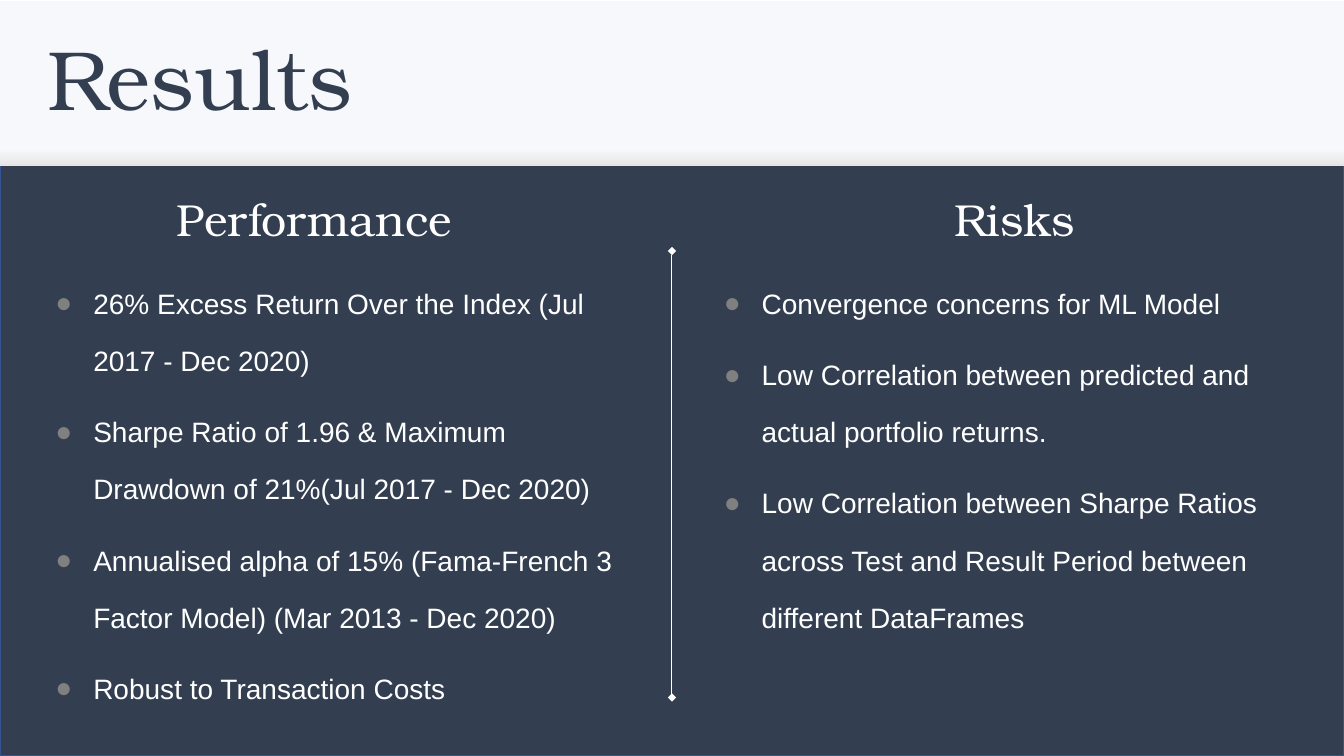
from lxml import etree
from pptx import Presentation
from pptx import util as u
from pptx.dml import color
from pptx.enum import shapes, text
from pptx.oxml import ns

NAVY = color.RGBColor(0x33, 0x3F, 0x50)
BLUE = color.RGBColor(0x32, 0x54, 0x91)
PALE = color.RGBColor(0xF6, 0xF8, 0xFC)
SILVER = color.RGBColor(0xE7, 0xE6, 0xE6)
GRAY = color.RGBColor(0x80, 0x80, 0x80)
WHITE = color.RGBColor(0xFF, 0xFF, 0xFF)
SERIF = "TeX Gyre Bonum"
SANS = "Arial"
LEFT = text.PP_ALIGN.LEFT
CENTER = text.PP_ALIGN.CENTER


def fill_placeholder(shape, box, lines, font_name, size, font_color, spacing, before, align):
    shape.left, shape.top, shape.width, shape.height = [u.Pt(value) for value in box]
    frame = shape.text_frame
    frame.text = "\n".join(lines)
    frame.word_wrap = True
    frame.auto_size = text.MSO_AUTO_SIZE.NONE
    for paragraph in frame.paragraphs:
        paragraph.alignment = align
        paragraph.line_spacing = spacing
        paragraph.space_before = u.Pt(before)
        font = paragraph.runs[0].font
        font.name = font_name
        font.size = u.Pt(size)
        font.bold = False
        font.color.rgb = font_color


def add_bullet(paragraph):
    properties = paragraph._p.get_or_add_pPr()
    properties.set("marL", str(u.Pt(27)))
    properties.set("indent", str(u.Pt(-27)))
    bullet_color = etree.SubElement(properties, ns.qn("a:buClr"))
    etree.SubElement(bullet_color, ns.qn("a:srgbClr"), val=str(GRAY))
    etree.SubElement(properties, ns.qn("a:buFont"), typeface=SANS)
    etree.SubElement(properties, ns.qn("a:buChar"), char="●")


presentation = Presentation()
presentation.slide_width = u.Pt(960)
presentation.slide_height = u.Pt(540)
slide = presentation.slides.add_slide(presentation.slide_layouts.get_by_name("Comparison"))

panel = slide.shapes.add_shape(
    shapes.MSO_SHAPE.RECTANGLE, u.Pt(0), u.Pt(118.3), u.Pt(960), u.Pt(421.7))
panel.fill.solid()
panel.fill.fore_color.rgb = NAVY
panel.line.color.rgb = BLUE
panel.line.width = u.Pt(1)

banner = slide.shapes.add_shape(
    shapes.MSO_SHAPE.RECTANGLE, u.Pt(0), u.Pt(0.8), u.Pt(960), u.Pt(117.5))
banner.fill.gradient()
banner.fill.gradient_angle = 270
for stop, position, stop_color in zip(banner.fill.gradient_stops, (0.9, 1), (PALE, SILVER)):
    stop.position = position
    stop.color.rgb = stop_color
banner.line.fill.background()

for position, shape in enumerate((panel, banner), start=2):
    shape.shadow.inherit = False
    slide.shapes.element.insert(position, shape.element)

title = slide.shapes.title
fill_placeholder(title, (26.6, 11.5, 550, 84.2), ["Results"], SERIF, 60, NAVY, 0.9, 0, LEFT)
title.text_frame.vertical_anchor = text.MSO_ANCHOR.BOTTOM

columns = [
    ("Performance", (119, 95, 287.3, 84.2), LEFT, 32.4, [
        "26% Excess Return Over the Index (Jul 2017 - Dec 2020)",
        "Sharpe Ratio of 1.96 & Maximum Drawdown of 21%(Jul 2017 - Dec 2020)",
        "Annualised alpha of 15% (Fama-French 3 Factor Model) (Mar 2013 - Dec 2020)",
        "Robust to Transaction Costs",
    ]),
    ("Risks", (594.7, 95.5, 260, 84.2), CENTER, 509.8, [
        "Convergence concerns for ML Model",
        "Low Correlation between predicted and actual portfolio returns.",
        "Low Correlation between Sharpe Ratios across Test and Result Period "
        "between different DataFrames",
    ]),
]
for index, (name, heading_box, align, list_left, points) in enumerate(columns):
    heading = slide.placeholders[1 + 2 * index]
    fill_placeholder(heading, heading_box, [name], SERIF, 32, WHITE, 0.9, 0, align)
    heading.text_frame.vertical_anchor = text.MSO_ANCHOR.BOTTOM

    body = slide.placeholders[2 + 2 * index]
    fill_placeholder(body, (list_left, 184.3, 417.6, 335.5), points,
                     SANS, 20, WHITE, 1.7, 10, LEFT)
    for paragraph in body.text_frame.paragraphs:
        add_bullet(paragraph)

divider = slide.shapes.add_connector(
    shapes.MSO_CONNECTOR.STRAIGHT, u.Pt(480), u.Pt(179.3), u.Pt(480), u.Pt(498.2))
divider.line.color.rgb = WHITE
divider.line.width = u.Pt(0.75)
for end in ("a:headEnd", "a:tailEnd"):
    etree.SubElement(divider.line._get_or_add_ln(), ns.qn(end), type="diamond")
etree.SubElement(divider.element.spPr, ns.qn("a:effectLst"))

presentation.save("out.pptx")
